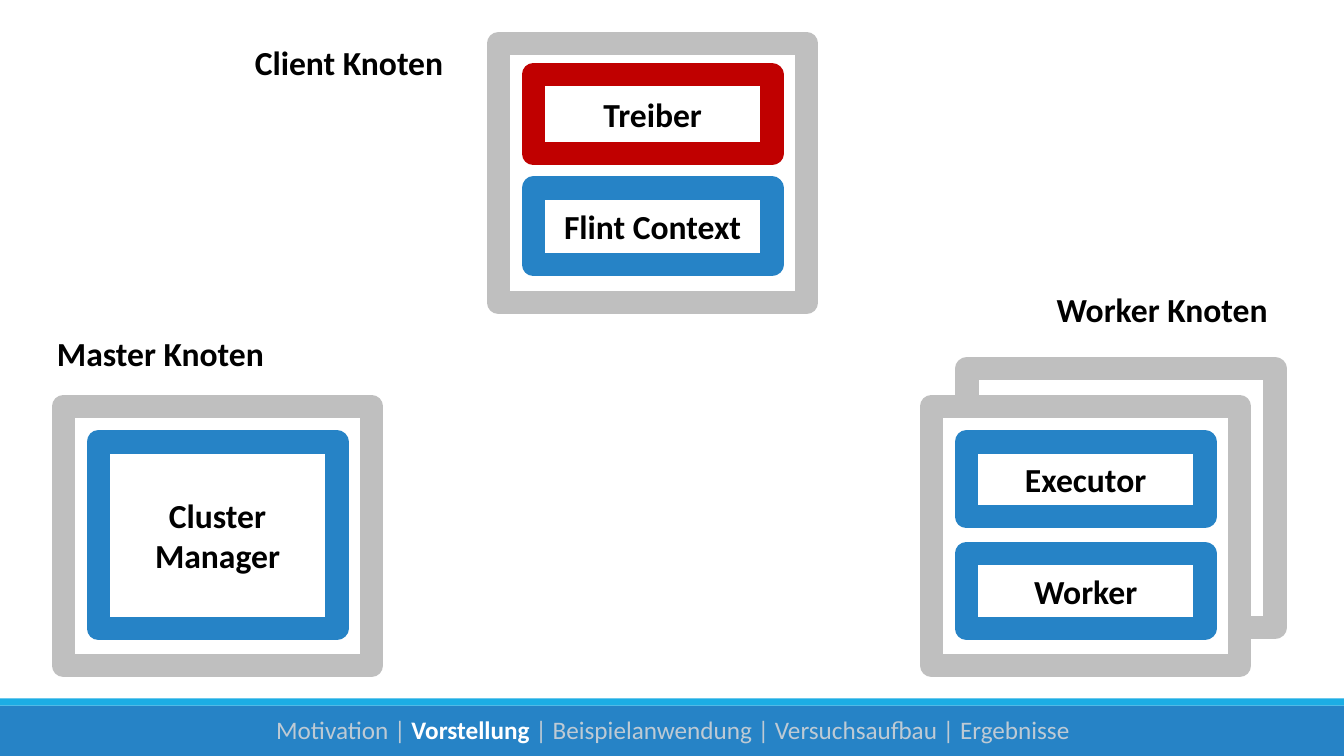
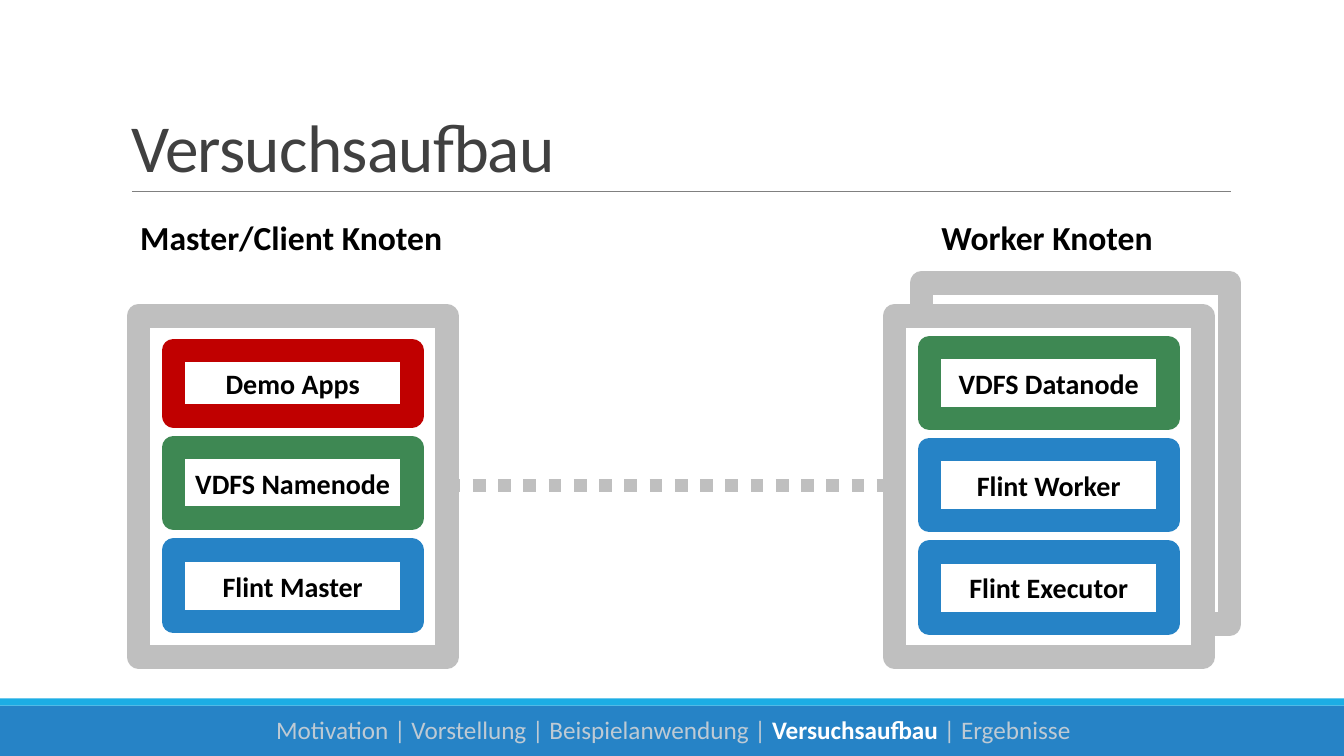
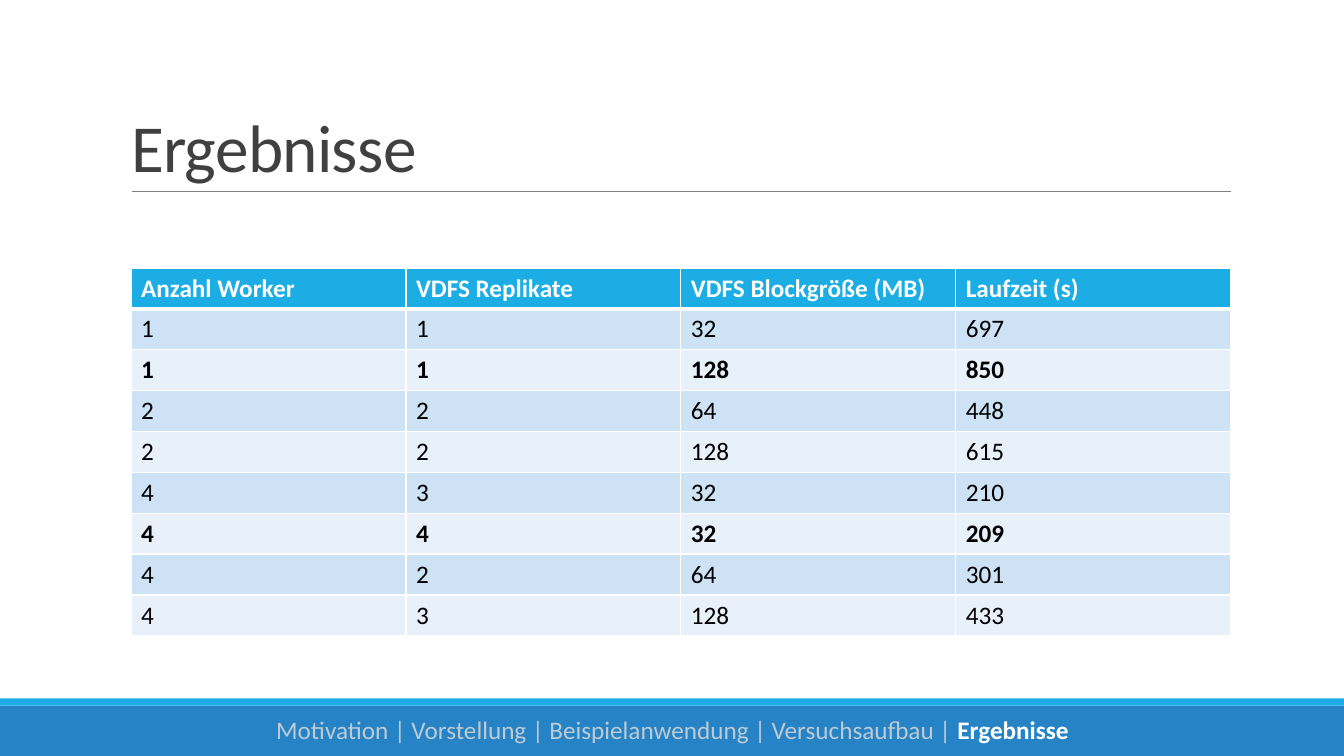
from pptx import Presentation
from pptx.dml.color import RGBColor
from pptx.enum.dml import MSO_LINE
from pptx.enum.shapes import MSO_CONNECTOR, MSO_SHAPE
from pptx.enum.text import MSO_ANCHOR, MSO_AUTO_SIZE, PP_ALIGN
from pptx.oxml.ns import qn
from pptx.util import Inches, Pt
from lxml.etree import SubElement

WHITE = RGBColor(0xFF, 0xFF, 0xFF)
BLACK = RGBColor(0x00, 0x00, 0x00)
CHARCOAL = RGBColor(0x40, 0x40, 0x40)
GRAY = RGBColor(0x80, 0x80, 0x80)
SILVER = RGBColor(0xBF, 0xBF, 0xBF)
MIST = RGBColor(0xBE, 0xCA, 0xD4)
BLUE = RGBColor(0x26, 0x83, 0xC6)
CYAN = RGBColor(0x1C, 0xAD, 0xE4)
RED = RGBColor(0xC0, 0x00, 0x00)
GREEN = RGBColor(0x3E, 0x88, 0x53)
ROW_FILLS = (RGBColor(0xCD, 0xE3, 0xF5), RGBColor(0xE8, 0xF1, 0xFA))

COLUMNS, ROWS = 160, 90
SECTIONS = ("Motivation", "Vorstellung", "Beispielanwendung", "Versuchsaufbau", "Ergebnisse")
NODE_WIDTH, PART_WIDTH = 36.7, 28.4


def apply(target, values):
    for key, value in values.items():
        setattr(target, key, value)


class Deck:
    def __init__(self):
        self.presentation = Presentation()
        apply(self.presentation, {"slide_width": Inches(13.33), "slide_height": Inches(7.5)})
        self.column = self.presentation.slide_width / COLUMNS
        self.row = self.presentation.slide_height / ROWS

    def place(self, left, top, width, height):
        return (round(left * self.column), round(top * self.row),
                round(width * self.column), round(height * self.row))

    def style(self, font, size, color, bold=False):
        apply(font, {"name": "Calibri", "size": Pt(size), "bold": bold})
        font.color.rgb = color

    def start(self, section, title=None):
        layout = self.presentation.slide_layouts[5 if title else 6]
        self.slide = self.presentation.slides.add_slide(layout)
        self.box(0, 84, COLUMNS, 6, BLUE)
        self.box(0, 83.15, COLUMNS, 0.85, CYAN)
        if title:
            self.title(title)
        self.footer(section)

    def title(self, text):
        heading = self.slide.shapes.title
        places = self.place(14.4, 3.7, 132, 19.1)
        apply(heading, dict(zip(("left", "top", "width", "height"), places)))
        apply(heading.text_frame, {"text": text, "vertical_anchor": MSO_ANCHOR.BOTTOM,
                                   "auto_size": MSO_AUTO_SIZE.NONE, "word_wrap": True})
        paragraph = heading.text_frame.paragraphs[0]
        apply(paragraph, {"alignment": PP_ALIGN.LEFT, "line_spacing": 0.85})
        run = paragraph.runs[0]
        self.style(run.font, 48, CHARCOAL)
        run.font._element.set("spc", "-50")
        self.line(15.7, 146.5, 22.8, GRAY, 0.5)

    def footer(self, current):
        paragraph = self.text_area(31.7, 84.5, 97.3, 4.8)
        for index, section in enumerate(SECTIONS):
            if index:
                self.run(paragraph, " | ", 18, MIST)
            active = section == current
            self.run(paragraph, section, 18, WHITE if active else MIST, active)

    def text_area(self, *cells):
        frame = self.slide.shapes.add_textbox(*self.place(*cells)).text_frame
        apply(frame, {"word_wrap": False, "auto_size": MSO_AUTO_SIZE.SHAPE_TO_FIT_TEXT})
        return frame.paragraphs[0]

    def run(self, paragraph, text, size, color, bold=False):
        run = paragraph.add_run()
        run.text = text
        self.style(run.font, size, color, bold)

    def caption(self, text, left, top, width):
        self.run(self.text_area(left, top, width, 6), text, 24, BLACK, True)

    def box(self, left, top, width, height, fill, border=None, text="", size=24):
        box = self.slide.shapes.add_shape(MSO_SHAPE.RECTANGLE, *self.place(left, top, width, height))
        box.shadow.inherit = False
        box.fill.solid()
        box.fill.fore_color.rgb = fill
        if border is None:
            box.line.fill.background()
        else:
            box.line.color.rgb = border
            box.line.width = Pt(16.75)
            SubElement(box._element.spPr.find(qn("a:ln")), qn("a:round"))
        if text:
            apply(box.text_frame, {"text": text, "vertical_anchor": MSO_ANCHOR.MIDDLE})
            for paragraph in box.text_frame.paragraphs:
                paragraph.alignment = PP_ALIGN.CENTER
                self.style(paragraph.runs[0].font, size, BLACK, True)

    def node(self, left, top, height, parts=(), inset=4.2, gap=4.4, size=24):
        self.box(left, top, NODE_WIDTH, height, WHITE, SILVER)
        part_left = left + (NODE_WIDTH - PART_WIDTH) / 2
        part_top = top + inset
        for label, color, part_height in parts:
            self.box(part_left, part_top, PART_WIDTH, part_height, WHITE, color, label, size)
            part_top += part_height + gap

    def line(self, start, end, level, color, width, dash=None):
        left, top, right, bottom = self.place(start, level, end, level)
        line = self.slide.shapes.add_connector(MSO_CONNECTOR.STRAIGHT, left, top, right, bottom)
        line.line.color.rgb = color
        apply(line.line, {"width": Pt(width), "dash_style": dash})
        SubElement(line._element.spPr, qn("a:effectLst"))

    def table(self, left, top, width, height, records, highlighted):
        cells = self.place(left, top, width, height)
        table = self.slide.shapes.add_table(len(records), len(records[0]), *cells).table
        for row_index, record in enumerate(records):
            header = row_index == 0
            fill = CYAN if header else ROW_FILLS[(row_index - 1) % 2]
            for column_index, value in enumerate(record):
                cell = table.cell(row_index, column_index)
                cell.text = str(value)
                self.style(cell.text_frame.paragraphs[0].runs[0].font, 18,
                           WHITE if header else BLACK, header or row_index in highlighted)
                self.cell_borders(cell, 3 if row_index == 1 else 1, 3 if header else 1)
                cell.fill.solid()
                cell.fill.fore_color.rgb = fill

    def cell_borders(self, cell, upper, lower):
        properties = cell._tc.get_or_add_tcPr()
        for side, width in (("L", 1), ("R", 1), ("T", upper), ("B", lower)):
            border = SubElement(properties, qn(f"a:ln{side}"), w=str(Pt(width)))
            SubElement(SubElement(border, qn("a:solidFill")), qn("a:srgbClr"), val=str(WHITE))


deck = Deck()

deck.start("Vorstellung")
deck.node(115.1, 43.9, 30.8)
deck.node(110.9, 48.4, 30.8, [("Executor", BLUE, 8.9), ("Worker", BLUE, 8.9)])
deck.node(7.55, 48.4, 30.8, [("Cluster\nManager", BLUE, 22.2)])
deck.node(59.35, 5.2, 30.8, [("Treiber", RED, 9.4), ("Flint Context", BLUE, 9.1)], inset=3.7, gap=4.1)
deck.caption("Master Knoten", 5.6, 39, 27.4)
deck.caption("Worker Knoten", 124.6, 33.8, 27.8)
deck.caption("Client Knoten", 29.15, 4.4, 25.1)

deck.start("Versuchsaufbau", "Versuchsaufbau")
deck.node(109.7, 33.7, 40.6)
deck.node(16.5, 37.6, 40.6, [("Demo Apps", RED, 7.8), ("VDFS Namenode", GREEN, 8.4),
                             ("Flint Master", BLUE, 8.5)], inset=4.1, gap=3.8, size=20)
deck.node(106.5, 37.6, 40.6, [("VDFS Datanode", GREEN, 8.4), ("Flint Worker", BLUE, 8.5),
                              ("Flint Executor", BLUE, 8.5)], inset=3.8, gap=3.7, size=20)
deck.line(53.3, 106.4, 57.8, SILVER, 9, MSO_LINE.ROUND_DOT)
deck.caption("Master/Client Knoten", 15.5, 25.2, 38.8)
deck.caption("Worker Knoten", 110.9, 25.2, 27.8)

deck.start("Ergebnisse", "Ergebnisse")
measurements = [
    ("Anzahl Worker", "VDFS Replikate", "VDFS Blockgröße (MB)", "Laufzeit (s)"),
    (1, 1, 32, 697),
    (1, 1, 128, 850),
    (2, 2, 64, 448),
    (2, 2, 128, 615),
    (4, 3, 32, 210),
    (4, 4, 32, 209),
    (4, 2, 64, 301),
    (4, 3, 128, 433),
]
deck.table(15.6, 31.9, 130.9, 43.8, measurements, highlighted=(2, 6))

deck.presentation.save("out.pptx")
